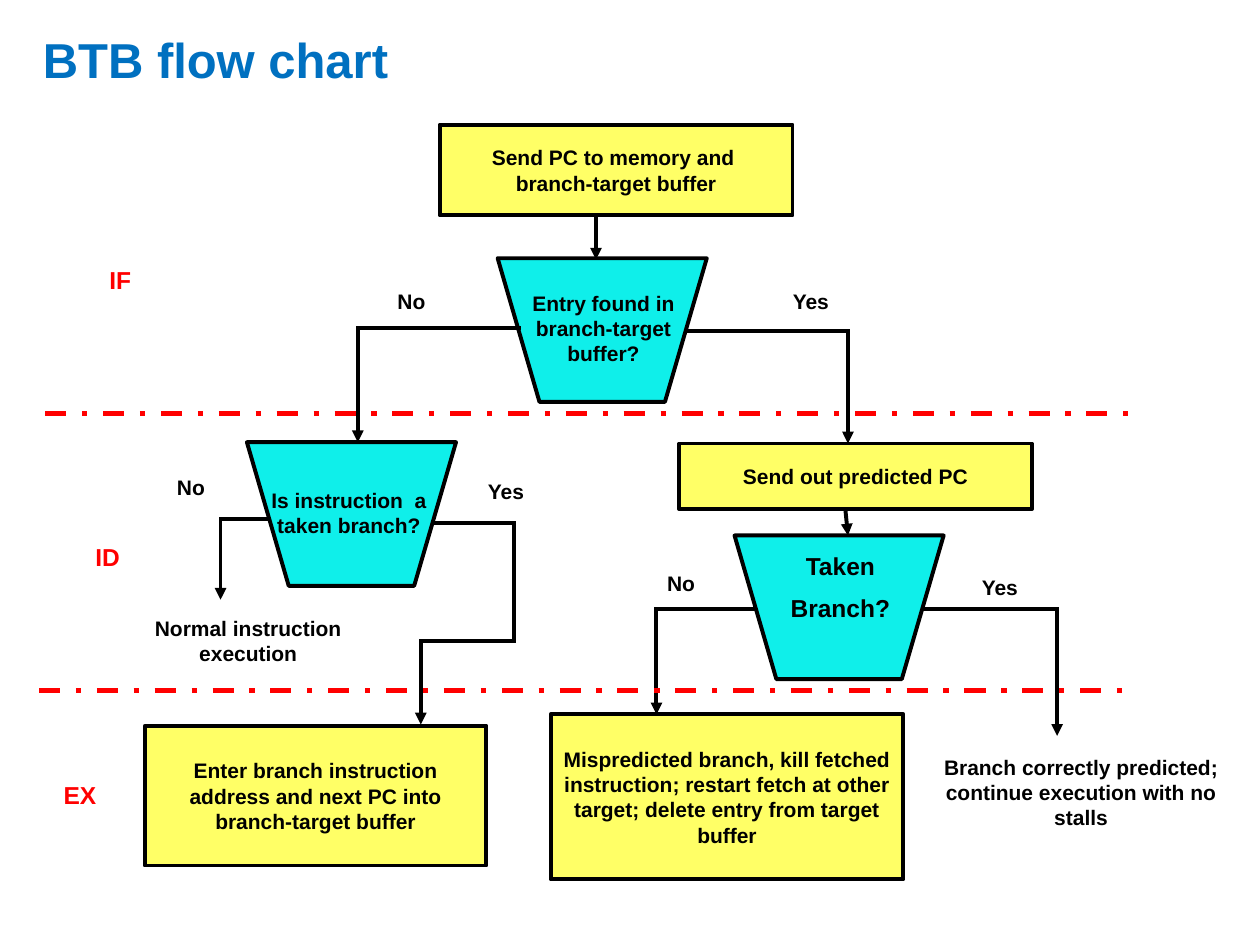
from pptx import Presentation
from pptx import util as u
from pptx.dml.color import RGBColor
from pptx.enum import dml, shapes, text
from pptx.oxml import ns
from lxml import etree

COLUMNS, ROWS = 100, 75
BLACK, RED, BLUE, YELLOW, CYAN = "000000", "FF0000", "0070C0", "FFFF66", "0FEFEA"


def colour(value):
    return RGBColor.from_string(value)


class FlowChart:
    font = "Arial"
    body_size, stage_size, title_size = 12, 14, 28
    outline, divider_width = 2.25, 3

    def __init__(self, deck):
        self.column = deck.slide_width / COLUMNS
        self.row = deck.slide_height / ROWS
        self.slide = deck.slides.add_slide(deck.slide_layouts[5])

    def place(self, x, y):
        return round(x * self.column), round(y * self.row)

    def wording(self, frame, lines, size, ink=BLACK, align=text.PP_ALIGN.CENTER):
        frame.text = lines
        frame.word_wrap = True
        frame.vertical_anchor = text.MSO_ANCHOR.MIDDLE
        for index, paragraph in enumerate(frame.paragraphs):
            paragraph.alignment = align
            paragraph.space_before = u.Pt(size / 2 if index else 0)
            for run in paragraph.runs:
                run.font.name = self.font
                run.font.size = u.Pt(size)
                run.font.bold = True
                run.font.color.rgb = colour(ink)

    def title(self, words, x, y, width, height):
        heading = self.slide.shapes.title
        heading.left, heading.top = self.place(x, y)
        heading.width, heading.height = self.place(width, height)
        self.wording(heading.text_frame, words, self.title_size, BLUE, text.PP_ALIGN.LEFT)

    def node(self, kind, fill, x, y, width, height):
        node = self.slide.shapes.add_shape(kind, *self.place(x, y), *self.place(width, height))
        node.shadow.inherit = False
        node.fill.solid()
        node.fill.fore_color.rgb = colour(fill)
        node.line.color.rgb = colour(BLACK)
        node.line.width = u.Pt(self.outline)
        return node

    def step(self, words, *area):
        step = self.node(shapes.MSO_SHAPE.RECTANGLE, YELLOW, *area)
        self.wording(step.text_frame, words, self.body_size)

    def decision(self, x, y):
        self.node(shapes.MSO_SHAPE.FLOWCHART_MANUAL_OPERATION, CYAN, x, y, 16.6, 11.4)

    def label(self, words, x, y, width=7.9, height=3, size=body_size, ink=BLACK):
        label = self.slide.shapes.add_textbox(*self.place(x, y), *self.place(width, height))
        self.wording(label.text_frame, words, size, ink)

    def stage(self, words, x, y):
        self.label(words, x, y, height=3.4, size=self.stage_size, ink=RED)

    def line(self, start, end, ink=BLACK, width=outline):
        line = self.slide.shapes.add_connector(
            shapes.MSO_CONNECTOR.STRAIGHT, *self.place(*start), *self.place(*end))
        line.line.color.rgb = colour(ink)
        line.line.width = u.Pt(width)
        etree.SubElement(line.element.find(ns.qn("p:spPr")), ns.qn("a:effectLst"))
        return line

    def route(self, *corners):
        legs = list(zip(corners, corners[1:]))
        for start, end in legs:
            stroke = self.line(start, end).element.find(".//" + ns.qn("a:ln"))
            if end == corners[-1]:
                etree.SubElement(stroke, ns.qn("a:tailEnd"), type="triangle")
            else:
                stroke.set("cap", "sq")

    def divider(self, left, right, y):
        divider = self.line((left, y), (right, y), RED, self.divider_width)
        divider.line.dash_style = dml.MSO_LINE.DASH_DOT


def main():
    deck = Presentation()
    deck.slide_width, deck.slide_height = u.Inches(10), u.Inches(7.5)
    chart = FlowChart(deck)
    chart.title("BTB flow chart", 2.4, 0.1, 96, 9.2)

    for corner in ((19.6, 35.1), (39.5, 20.5), (58.3, 42.5)):
        chart.decision(*corner)

    for words, *area in (
        ("Send PC to memory and  branch-target buffer", 34.9, 9.9, 28, 7.2),
        ("Send out predicted PC", 53.9, 35.2, 28, 5.2),
        ("Enter branch instruction address and next PC into branch-target buffer",
         11.5, 57.6, 27.1, 11.1),
        ("Mispredicted branch, kill fetched instruction; restart fetch at other target; "
         "delete entry from target buffer", 43.7, 56.7, 28, 13.1),
    ):
        chart.step(words, *area)

    chart.label("Taken\nBranch?", 58.9, 43.2, 15.6, 6.7, chart.stage_size)
    for words, *area in (
        ("Entry found in branch-target buffer?", 38.9, 21.6, 18, 8.9),
        ("Is instruction  a taken branch?", 18.7, 36.2, 18, 8.9),
        ("Normal instruction execution", 8.3, 47.4, 22.8, 6.9),
        ("Branch correctly predicted; continue execution with no stalls",
         73.2, 58.4, 25.2, 8.9),
        ("No", 28.7, 22.4),
        ("Yes", 60.4, 22.4),
        ("No", 11.2, 37.2),
        ("Yes", 36.2, 37.5),
        ("No", 50.1, 44.8),
        ("Yes", 75.4, 45.1),
    ):
        chart.label(words, *area)

    for words, x, y in (("IF", 5.6, 20.5), ("ID", 4.6, 42.5), ("EX", 2.4, 61.4)):
        chart.stage(words, x, y)

    for corners in (
        ((47.3, 17.1), (47.3, 20.6)),
        ((41.2, 26), (28.4, 26), (28.4, 35.1)),
        ((54.5, 26.3), (67.3, 26.3), (67.3, 35.2)),
        ((21.2, 41.2), (17.5, 41.2), (17.5, 47.6)),
        ((34.6, 41.5), (40.8, 41.5), (40.8, 50.9), (33.4, 50.9), (33.4, 57.5)),
        ((67.1, 40.5), (67.3, 42.5)),
        ((59.8, 48.3), (52.1, 48.3), (52.1, 56.7)),
        ((73.5, 48.3), (83.9, 48.3), (83.9, 58.4)),
    ):
        chart.route(*corners)

    chart.divider(3.6, 89.5, 32.8)
    chart.divider(3.1, 89.8, 54.8)
    deck.save("out.pptx")


if __name__ == "__main__":
    main()
